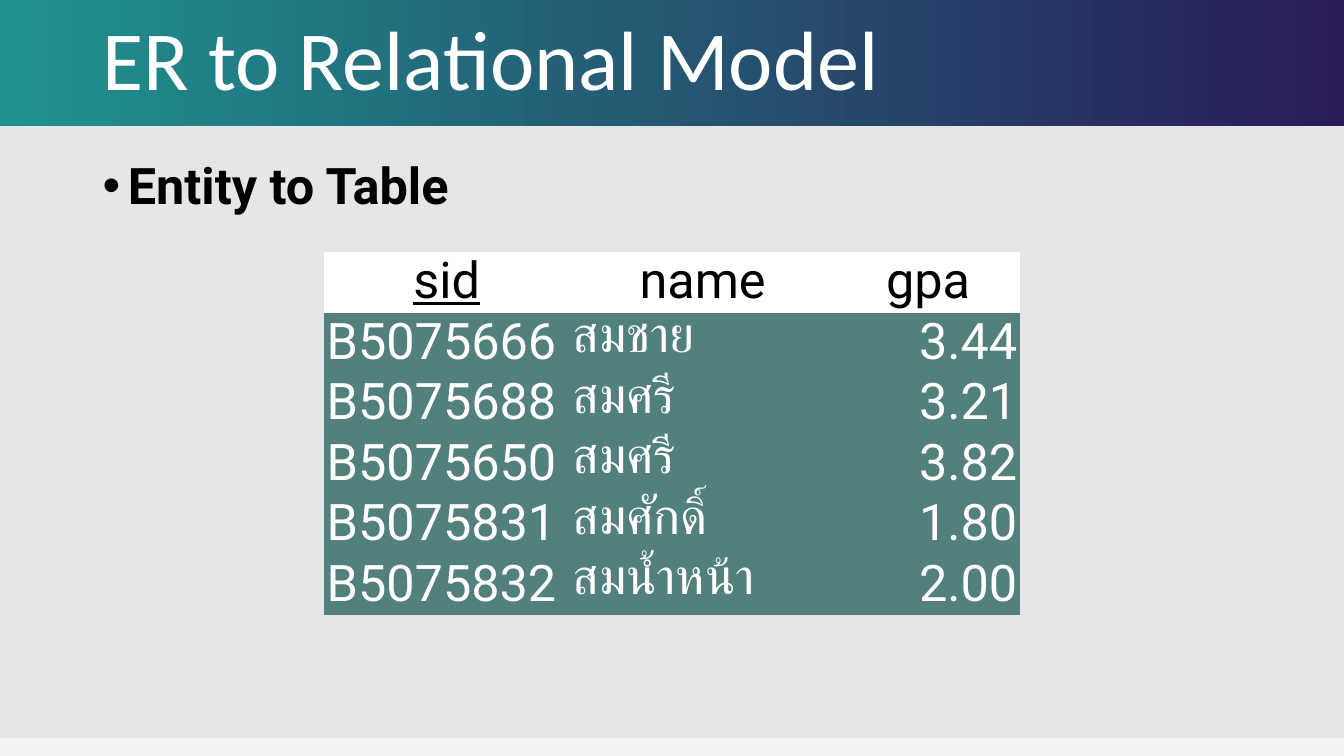
from lxml import etree
from pptx import Presentation
from pptx.dml.color import RGBColor
from pptx.enum.shapes import MSO_SHAPE
from pptx.enum.text import MSO_ANCHOR, PP_ALIGN
from pptx.oxml.ns import qn
from pptx.util import Inches, Pt

RECTANGLE = MSO_SHAPE.RECTANGLE
MIDDLE = MSO_ANCHOR.MIDDLE
LEFT, CENTER, RIGHT = PP_ALIGN.LEFT, PP_ALIGN.CENTER, PP_ALIGN.RIGHT

PAGE_GRAY = RGBColor(0xF2, 0xF2, 0xF2)
PANEL_GRAY = RGBColor(0xE7, 0xE6, 0xE6)
BANNER_TEAL = RGBColor(0x1F, 0x92, 0x8D)
BANNER_PURPLE = RGBColor(0x2A, 0x1C, 0x59)
ROW_TEAL = RGBColor(0x52, 0x80, 0x7D)
WHITE = RGBColor(0xFF, 0xFF, 0xFF)
BLACK = RGBColor(0x00, 0x00, 0x00)

NO_GRID_STYLE = "{2D5ABB26-0587-4C30-8999-92F81FD0307C}"
COLUMN_WIDTHS = [2.44, 2.64, 1.83]
ROW_HEIGHT = 0.6
STUDENTS = [
    ["sid", "name", "gpa"],
    ["B5075666", "สมชาย", "3.44"],
    ["B5075688", "สมศรี", "3.21"],
    ["B5075650", "สมศรี", "3.82"],
    ["B5075831", "สมศักดิ์", "1.80"],
    ["B5075832", "สมน้ำหน้า", "2.00"],
]


def add_band(height):
    """Add a borderless full-width rectangle at the top of the slide."""
    band = slide.shapes.add_shape(RECTANGLE, 0, 0, prs.slide_width, Inches(height))
    band.shadow.inherit = False
    band.line.fill.background()
    return band


def write(paragraph, text, color, **font_format):
    run = paragraph.add_run()
    run.text = text
    run.font.color.rgb = color
    for name, value in font_format.items():
        setattr(run.font, name, value)


prs = Presentation()
prs.slide_width = Inches(13.33)
prs.slide_height = Inches(7.5)
slide = prs.slides.add_slide(prs.slide_layouts[6])
slide.background.fill.solid()
slide.background.fill.fore_color.rgb = PAGE_GRAY

panel = add_band(7.32)
panel.fill.solid()
panel.fill.fore_color.rgb = PANEL_GRAY

banner = add_band(1.25)
banner.fill.gradient()
banner.fill.gradient_angle = 0
for stop, position, color in zip(
    banner.fill.gradient_stops, (0, 1), (BANNER_TEAL, BANNER_PURPLE)
):
    stop.position = position
    stop.color.rgb = color

title = slide.shapes.add_textbox(Inches(0.92), 0, Inches(11.5), Inches(1.25)).text_frame
title.word_wrap = True
title.vertical_anchor = MIDDLE
title.paragraphs[0].line_spacing = 0.9
write(title.paragraphs[0], "ER to Relational Model", WHITE, name="Calibri", size=Pt(60))

body = slide.shapes.add_textbox(
    Inches(0.92), Inches(1.55), Inches(11.5), Inches(5.2)
).text_frame
body.word_wrap = True
topic = body.paragraphs[0]
topic.line_spacing = 0.9
topic_properties = topic._p.get_or_add_pPr()
topic_properties.set("marL", str(Inches(0.25)))
topic_properties.set("indent", str(-Inches(0.25)))
etree.SubElement(topic_properties, qn("a:buFont")).set("typeface", "Arial")
etree.SubElement(topic_properties, qn("a:buChar")).set("char", "•")
write(topic, "Entity to Table", BLACK, name="Roboto", size=Pt(36), bold=True)

student_table = slide.shapes.add_table(
    len(STUDENTS), len(COLUMN_WIDTHS), Inches(3.21), Inches(2.5),
    Inches(sum(COLUMN_WIDTHS)), Inches(ROW_HEIGHT * len(STUDENTS)),
).table
student_table.first_row = False
student_table.horz_banding = False
student_table._tbl.tblPr.find(qn("a:tableStyleId")).text = NO_GRID_STYLE
for column, width in zip(student_table.columns, COLUMN_WIDTHS):
    column.width = Inches(width)

cell_margins = {
    "margin_left": Inches(0.03),
    "margin_right": Inches(0.03),
    "margin_top": 0,
    "margin_bottom": 0,
}
for row, student in enumerate(STUDENTS):
    is_header = row == 0
    student_table.rows[row].height = Inches(ROW_HEIGHT)
    for col, (value, alignment) in enumerate(zip(student, (LEFT, LEFT, RIGHT))):
        cell = student_table.cell(row, col)
        for name, margin in cell_margins.items():
            setattr(cell, name, margin)
        cell.fill.solid()
        cell.fill.fore_color.rgb = WHITE if is_header else ROW_TEAL
        paragraph = cell.text_frame.paragraphs[0]
        paragraph.alignment = CENTER if is_header else alignment
        write(
            paragraph, value, BLACK if is_header else WHITE,
            name="Roboto", size=Pt(36), underline=value == "sid",
        )

prs.save("out.pptx")
